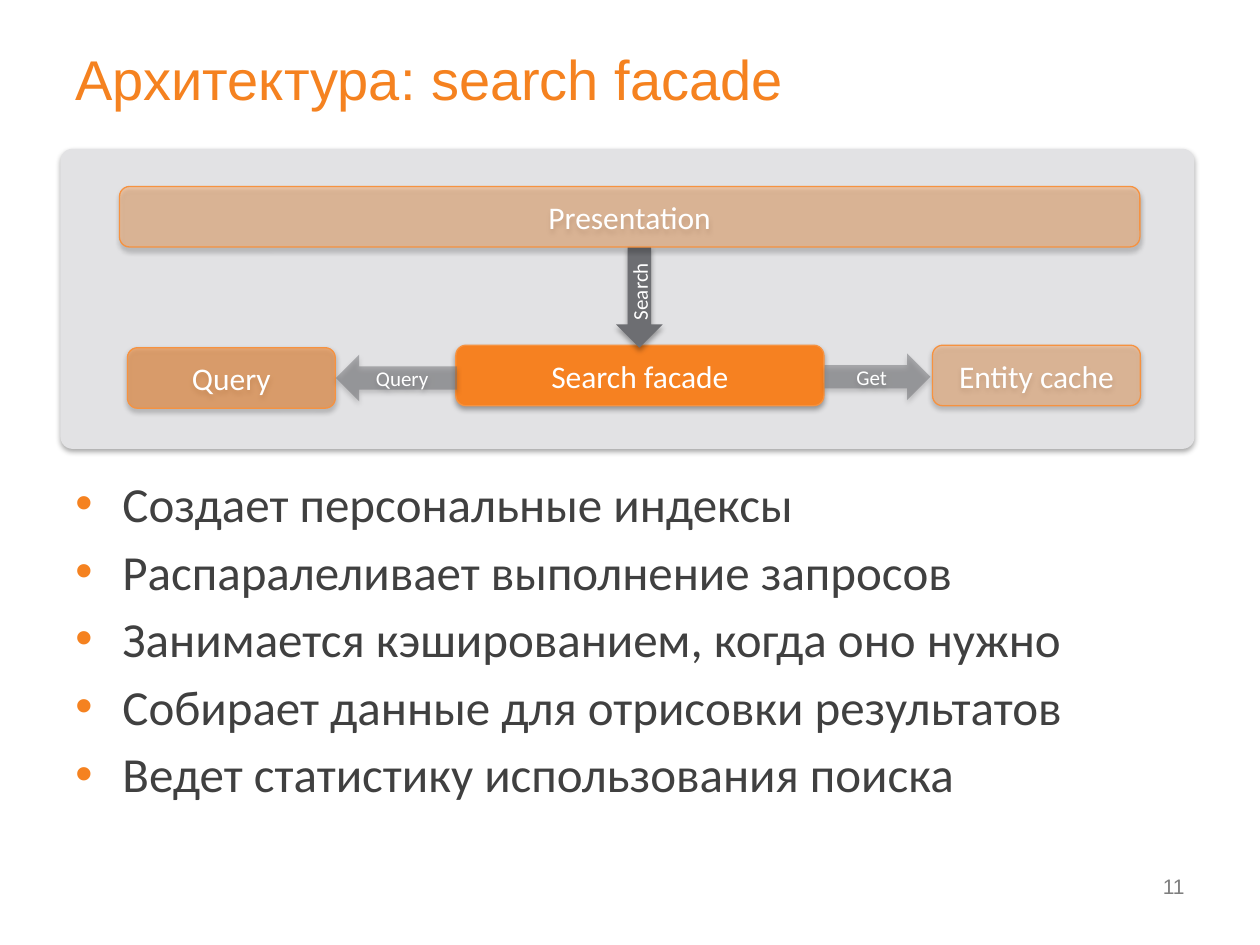
from dataclasses import dataclass
from typing import Any, Optional

from lxml import etree
from pptx import Presentation
from pptx import util as u
from pptx.dml.color import RGBColor
from pptx.enum import shapes, text
from pptx.oxml.ns import qn

COLORS = {
    "title": "F58220", "body": "404040", "number": "7F7F7F", "panel": "E2E2E4",
    "orange": "F68121", "pale": "F9AB6B", "edge": "F69240",
    "grey": "6D6E72", "white": "FFFFFF", "shadow": "000000",
}
BULLETS = [
    "Создает персональные индексы",
    "Распаралеливает выполнение запросов",
    "Занимается кэшированием, когда оно нужно",
    "Собирает данные для отрисовки результатов",
    "Ведет статистику использования поиска",
]
ROUND = shapes.MSO_SHAPE.ROUNDED_RECTANGLE
ARROW = shapes.MSO_SHAPE.DOWN_ARROW
BOX_H = 1.22
ARROW_W = 0.94


@dataclass
class Block:
    """A diagram part; lengths in cm, alpha in percent."""
    label: str
    left: float
    top: float
    width: float
    height: float = BOX_H
    fill: str = "pale"
    alpha: int = 100
    kind: Any = ROUND
    line: Optional[str] = "edge"
    size: int = 18
    rotation: int = 0
    vert: Optional[str] = None


def arrow(label: str, left: float, top: float, length: float, alpha: int = 100,
          rotation: int = 0, vert: str = "vert270") -> Block:
    return Block(label, left, top, ARROW_W, length, "grey", alpha, ARROW, None,
                 12, rotation, vert)


PANEL = Block("", 1.22, 3.0, 22.86, 6.05, "panel", line=None)
BLOCKS = [
    Block("Search facade", 9.19, 6.96, 7.42, fill="orange"),
    arrow("Search", 12.42, 4.98, 2.03),
    Block("Query", 2.57, 7.01, 4.19, fill="orange", alpha=52),
    arrow("Query", 7.52, 6.4, 2.44, 49, 90),
    arrow("Get", 17.22, 6.53, 2.13, 49, 270, "vert"),
    Block("Entity cache", 18.8, 6.96, 4.19, alpha=49),
    Block("Presentation", 2.41, 3.76, 20.57, alpha=49),
]


def rgb(name: str) -> RGBColor:
    return RGBColor.from_string(COLORS[name])


def apply(obj: Any, formats: dict) -> None:
    for name, value in formats.items():
        setattr(obj, name, value)


def place(sp: Any, left: float, top: float, width: float, height: float) -> None:
    apply(sp, {"left": u.Cm(left), "top": u.Cm(top),
               "width": u.Cm(width), "height": u.Cm(height)})


def write(p: Any, content: str, font: str, size: int, color: str) -> None:
    r = p.add_run()
    r.text = content
    apply(r.font, {"name": font, "size": u.Pt(size)})
    r.font.color.rgb = rgb(color)


def add_color(parent: Any, color: str, alpha: int = 100) -> None:
    clr = etree.SubElement(parent, qn("a:srgbClr"), val=COLORS[color])
    if alpha < 100:
        etree.SubElement(clr, qn("a:alpha"), val=str(alpha * 1000))


def add_shadow(sp: Any) -> None:
    sp.shadow.inherit = False
    effects = sp._element.spPr.find(qn("a:effectLst"))
    outer = etree.SubElement(
        effects, qn("a:outerShdw"), blurRad=str(u.Pt(3.1)), dist=str(u.Pt(1.8)),
        dir="5400000", rotWithShape="0")
    add_color(outer, "shadow", 35)


def add_block(slide: Any, b: Block) -> Any:
    sp = slide.shapes.add_shape(b.kind, u.Cm(b.left), u.Cm(b.top),
                                u.Cm(b.width), u.Cm(b.height))
    sp.rotation = b.rotation
    sp.fill.solid()
    sp.fill.fore_color.rgb = rgb(b.fill)
    if b.alpha < 100:
        solid = sp._element.spPr.find(qn("a:solidFill"))
        solid.clear()
        add_color(solid, b.fill, b.alpha)
    if b.line:
        sp.line.color.rgb = rgb(b.line)
        sp.line.width = u.Pt(0.75)
    else:
        sp.line.fill.background()
    add_shadow(sp)
    if b.label:
        tf = sp.text_frame
        apply(tf, {"word_wrap": b.vert is None,
                   "vertical_anchor": text.MSO_ANCHOR.MIDDLE})
        if b.vert:
            tf._txBody.bodyPr.set("vert", b.vert)
        p = tf.paragraphs[0]
        p.alignment = text.PP_ALIGN.CENTER
        write(p, b.label, "Calibri", b.size, "white")
    return sp


def add_text_box(slide: Any, *frame: float) -> Any:
    sp = slide.shapes.add_textbox(0, 0, 0, 0)
    place(sp, *frame)
    sp.text_frame.word_wrap = True
    return sp.text_frame


def add_bullet(p: Any, content: str) -> None:
    p.space_before = u.Pt(5)
    pPr = p._p.get_or_add_pPr()
    indent = u.Cm(0.95)
    pPr.set("marL", str(indent))
    pPr.set("indent", str(-indent))
    add_color(etree.SubElement(pPr, qn("a:buClr")), "title")
    etree.SubElement(pPr, qn("a:buFont"), typeface="Arial")
    etree.SubElement(pPr, qn("a:buChar"), char="•")
    write(p, content, "Calibri", 28, "body")


def main() -> None:
    prs = Presentation()
    apply(prs, {"slide_width": u.Cm(25.4), "slide_height": u.Cm(19.05)})
    slide = prs.slides.add_slide(prs.slide_layouts[5])

    # Title
    title = slide.shapes.title
    place(title, 1.27, 0.76, 22.86, 1.88)
    apply(title.text_frame, {"vertical_anchor": text.MSO_ANCHOR.TOP,
                             "auto_size": text.MSO_AUTO_SIZE.NONE})
    p = title.text_frame.paragraphs[0]
    p.alignment = text.PP_ALIGN.LEFT
    write(p, "Архитектура: search facade", "Arial", 32, "title")

    # Slide number
    tf = add_text_box(slide, 18.21, 17.35, 5.92, 1.02)
    tf.vertical_anchor = text.MSO_ANCHOR.MIDDLE
    p = tf.paragraphs[0]
    p.alignment = text.PP_ALIGN.RIGHT
    write(p, "11", "Arial", 12, "number")

    # Bullet list
    tf = add_text_box(slide, 1.27, 9.42, 22.86, 7.16)
    for i, content in enumerate(BULLETS):
        add_bullet(tf.add_paragraph() if i else tf.paragraphs[0], content)

    # Diagram
    add_block(slide, PANEL).adjustments[0] = 0.04
    for block in BLOCKS:
        add_block(slide, block)

    prs.save("out.pptx")


if __name__ == "__main__":
    main()
